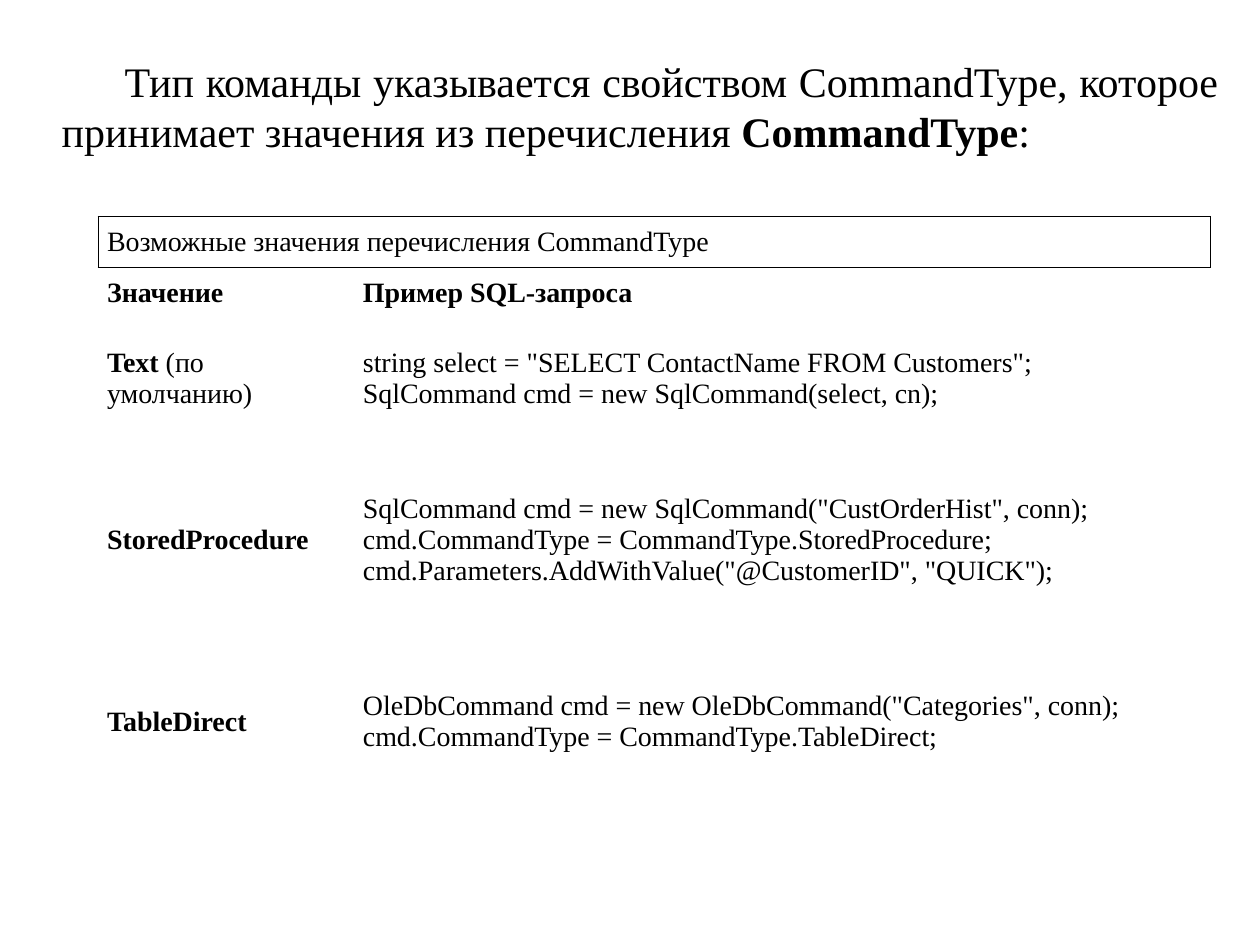
from dataclasses import dataclass

from lxml.etree import SubElement
from pptx import Presentation
from pptx.dml.color import RGBColor
from pptx.enum.text import MSO_ANCHOR, MSO_AUTO_SIZE, PP_ALIGN
from pptx.oxml import parse_xml
from pptx.oxml.ns import nsdecls, qn
from pptx.util import Inches, Pt


@dataclass(frozen=True)
class Theme:
    font: str = "Times New Roman"
    ink: str = "000000"
    title_size: int = 24
    table_size: int = 16
    border: float = 0.75
    space_before: int = 50
    cell_inset: float = 0.07
    plain_table: str = "{2D5ABB26-0587-4C30-8999-92F81FD0307C}"


@dataclass(frozen=True)
class Piece:
    text: str
    bold: bool = False


@dataclass(frozen=True)
class CommandRow:
    height: float
    cells: tuple[tuple[Piece, ...], ...]


THEME = Theme()
PAGE_WIDTH, PAGE_HEIGHT = 10, 7.5
TITLE_BOX = (0.039, 0.052, 0.938, 0.121)
TABLE_BOX = (0.078, 0.229, 0.883, 0.592)
COLUMN_SHARES = (0.23, 0.77)

TITLE = (
    Piece("\tТип команды указывается свойством CommandType, которое принимает значения из перечисления "),
    Piece("CommandType", True),
    Piece(":"),
)
ROWS = (
    CommandRow(0.3, ((Piece("Возможные значения перечисления CommandType"),),)),
    CommandRow(0.3, ((Piece("Значение", True),), (Piece("Пример SQL-запроса", True),))),
    CommandRow(0.95, (
        (Piece("Text", True), Piece(" (по умолчанию)")),
        (Piece('string select = "SELECT ContactName FROM Customers";\n'
               "SqlCommand cmd = new SqlCommand(select, cn);"),),
    )),
    CommandRow(1.61, (
        (Piece("StoredProcedure", True),),
        (Piece('SqlCommand cmd = new SqlCommand("CustOrderHist", conn);\n'
               "cmd.CommandType = CommandType.StoredProcedure;\n"
               'cmd.Parameters.AddWithValue("@CustomerID", "QUICK");'),),
    )),
    CommandRow(1.28, (
        (Piece("TableDirect", True),),
        (Piece('OleDbCommand cmd = new OleDbCommand("Categories", conn);\n'
               "cmd.CommandType = CommandType.TableDirect;"),),
    )),
)


def place(shares: tuple[float, ...]) -> list[int]:
    sides = (PAGE_WIDTH, PAGE_HEIGHT) * 2
    return [Inches(share * side) for share, side in zip(shares, sides)]


def style_span(span, size: int, bold: bool) -> None:
    span.font.name = THEME.font
    span.font.size = Pt(size)
    span.font.bold = bold
    span.font.color.rgb = RGBColor.from_string(THEME.ink)


def write(para, pieces: tuple[Piece, ...], size: int, justified: bool = False) -> None:
    first, *rest = pieces
    para.text = first.text
    for span in para.runs:
        style_span(span, size, first.bold)
    for piece in rest:
        span = para.add_run()
        span.text = piece.text
        style_span(span, size, piece.bold)
    for line_break in para._p.findall(qn("a:br")):
        SubElement(line_break, qn("a:rPr"), sz=str(size * 100))
    para.alignment = PP_ALIGN.JUSTIFY if justified else PP_ALIGN.LEFT
    para._p.get_or_add_pPr().append(parse_xml(
        f'<a:spcBef {nsdecls("a")}><a:spcPct val="{THEME.space_before * 1000}"/></a:spcBef>'))


def add_borders(cell, sides: str) -> None:
    properties = cell._tc.get_or_add_tcPr()
    for index, side in enumerate(sides):
        properties.insert(index, parse_xml(
            f'<a:ln{side} {nsdecls("a")} w="{Pt(THEME.border)}"><a:solidFill>'
            f'<a:srgbClr val="{THEME.ink}"/></a:solidFill></a:ln{side}>'))


def add_title(page) -> None:
    box = page.shapes.add_textbox(*place(TITLE_BOX))
    frame = box.text_frame
    frame.word_wrap = True
    frame.auto_size = MSO_AUTO_SIZE.SHAPE_TO_FIT_TEXT
    write(frame.paragraphs[0], TITLE, THEME.title_size, justified=True)


def add_command_table(page) -> None:
    left, top, width, height = place(TABLE_BOX)
    frame = page.shapes.add_table(len(ROWS), len(COLUMN_SHARES), left, top, width, height)
    table = frame.table
    table.first_row = table.horz_banding = False
    table._tbl.tblPr.find(qn("a:tableStyleId")).text = THEME.plain_table
    for column, share in zip(table.columns, COLUMN_SHARES):
        column.width = int(width * share)
    for cell in table.iter_cells():
        cell.fill.background()
        cell.vertical_anchor = MSO_ANCHOR.MIDDLE
        cell.margin_left = cell.margin_right = Inches(THEME.cell_inset)
        cell.margin_top = cell.margin_bottom = Inches(THEME.cell_inset)
    table.cell(0, 0).merge(table.cell(0, 1))
    for row_index, row in enumerate(ROWS):
        table.rows[row_index].height = Inches(row.height)
        for column_index, pieces in enumerate(row.cells):
            para = table.cell(row_index, column_index).text_frame.paragraphs[0]
            write(para, pieces, THEME.table_size, justified=row_index == 0)
    add_borders(table.cell(0, 0), "LRTB")
    add_borders(table.cell(0, 1), "RT")


def main() -> None:
    deck = Presentation()
    deck.slide_width, deck.slide_height = Inches(PAGE_WIDTH), Inches(PAGE_HEIGHT)
    page = deck.slides.add_slide(deck.slide_layouts[6])
    add_title(page)
    add_command_table(page)
    deck.save("out.pptx")


if __name__ == "__main__":
    main()
